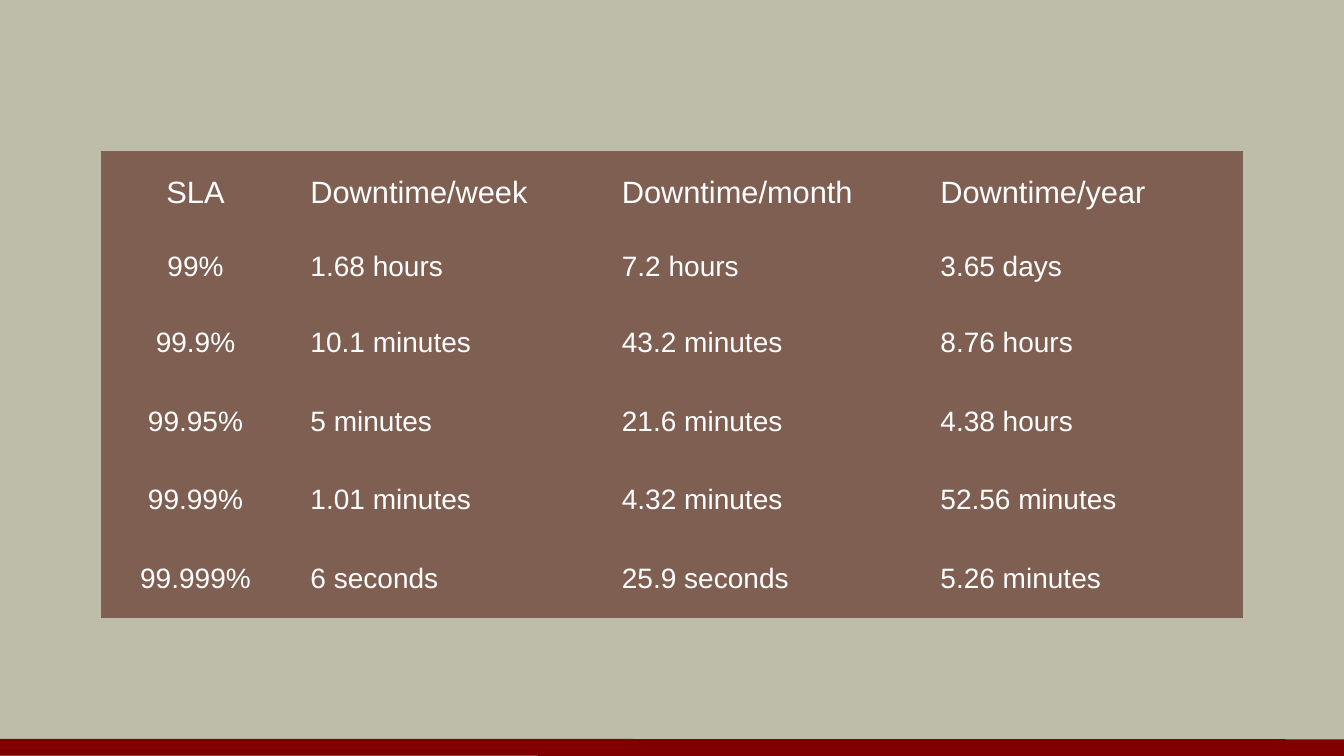
from lxml.etree import SubElement
from pptx import Presentation
from pptx.dml.color import RGBColor
from pptx.enum.shapes import MSO_CONNECTOR as Connector
from pptx.enum.text import MSO_ANCHOR as Anchor, PP_ALIGN as Align
from pptx.oxml.ns import qn
from pptx.util import Inches, Pt

GRID_COLUMNS, GRID_ROWS = 40, 30
NO_GRID_STYLE = "{2D5ABB26-0587-4C30-8999-92F81FD0307C}"

SLA_ROWS = [
    ["SLA", "Downtime/week", "Downtime/month", "Downtime/year"],
    ["99%", "1.68 hours", "7.2 hours", "3.65 days"],
    ["99.9%", "10.1 minutes", "43.2 minutes", "8.76 hours"],
    ["99.95%", "5 minutes", "21.6 minutes", "4.38 hours"],
    ["99.99%", "1.01 minutes", "4.32 minutes", "52.56 minutes"],
    ["99.999%", "6 seconds", "25.9 seconds", "5.26 minutes"],
]


def color(hex_string):
    return RGBColor.from_string(hex_string)


class SlideBuilder:
    font = "Arial"
    background, panel, accent, text = "BDBDA9", "7F5F52", "800000", "FFFFFF"

    def __init__(self, presentation):
        self.column = presentation.slide_width / GRID_COLUMNS
        self.row = presentation.slide_height / GRID_ROWS
        self.slide = presentation.slides.add_slide(presentation.slide_layouts[6])
        fill = self.slide.background.fill
        fill.solid()
        fill.fore_color.rgb = color(self.background)

    def across(self, columns):
        return round(columns * self.column)

    def down(self, rows):
        return round(rows * self.row)

    def line(self, start, end, width):
        line = self.slide.shapes.add_connector(
            Connector.STRAIGHT, self.across(start[0]), self.down(start[1]),
            self.across(end[0]), self.down(end[1]))
        line.line.color.rgb = color(self.accent)
        line.line.width = Pt(width)
        SubElement(line._element.spPr, qn("a:effectLst"))

    def table(self, left, top, widths, heights, rows):
        frame = self.slide.shapes.add_table(
            len(rows), len(widths), self.across(left), self.down(top),
            self.across(sum(widths)), self.down(sum(heights)))
        table = frame.table
        table.first_row = table.horz_banding = False
        table._tbl.tblPr.find(qn("a:tableStyleId")).text = NO_GRID_STYLE
        for column, width in zip(table.columns, widths):
            column.width = self.across(width)
        for row, height in zip(table.rows, heights):
            row.height = self.down(height)
        for r, texts in enumerate(rows):
            for c, text in enumerate(texts):
                self.cell(table.cell(r, c), text, header=r == 0, first=c == 0)

    def cell(self, cell, text, header, first):
        cell.fill.solid()
        cell.fill.fore_color.rgb = color(self.panel)
        cell.vertical_anchor = Anchor.BOTTOM if header else Anchor.MIDDLE
        cell.margin_left = Inches(0.11 if first else 0.2)
        cell.margin_right = Inches(0.11)
        cell.margin_top = cell.margin_bottom = Inches(0.2 if header else 0)
        cell.text_frame.text = text
        paragraph = cell.text_frame.paragraphs[0]
        paragraph.alignment = Align.CENTER if first else Align.LEFT
        font = paragraph.runs[0].font
        font.name, font.size, font.bold = self.font, Pt(22 if header else 20), False
        font.color.rgb = color(self.text)


def main():
    presentation = Presentation()
    presentation.slide_width, presentation.slide_height = Inches(13.33), Inches(7.5)
    builder = SlideBuilder(presentation)

    # Bottom rule
    builder.line((0, 29.65), (GRID_COLUMNS, 29.67), width=12)

    # Downtime allowed at each service level
    builder.table(left=3, top=6, widths=[5.64, 9.27, 9.48, 9.6],
                  heights=[3.12, 2.92] + [3.12] * 4, rows=SLA_ROWS)

    presentation.save("out.pptx")


if __name__ == "__main__":
    main()
